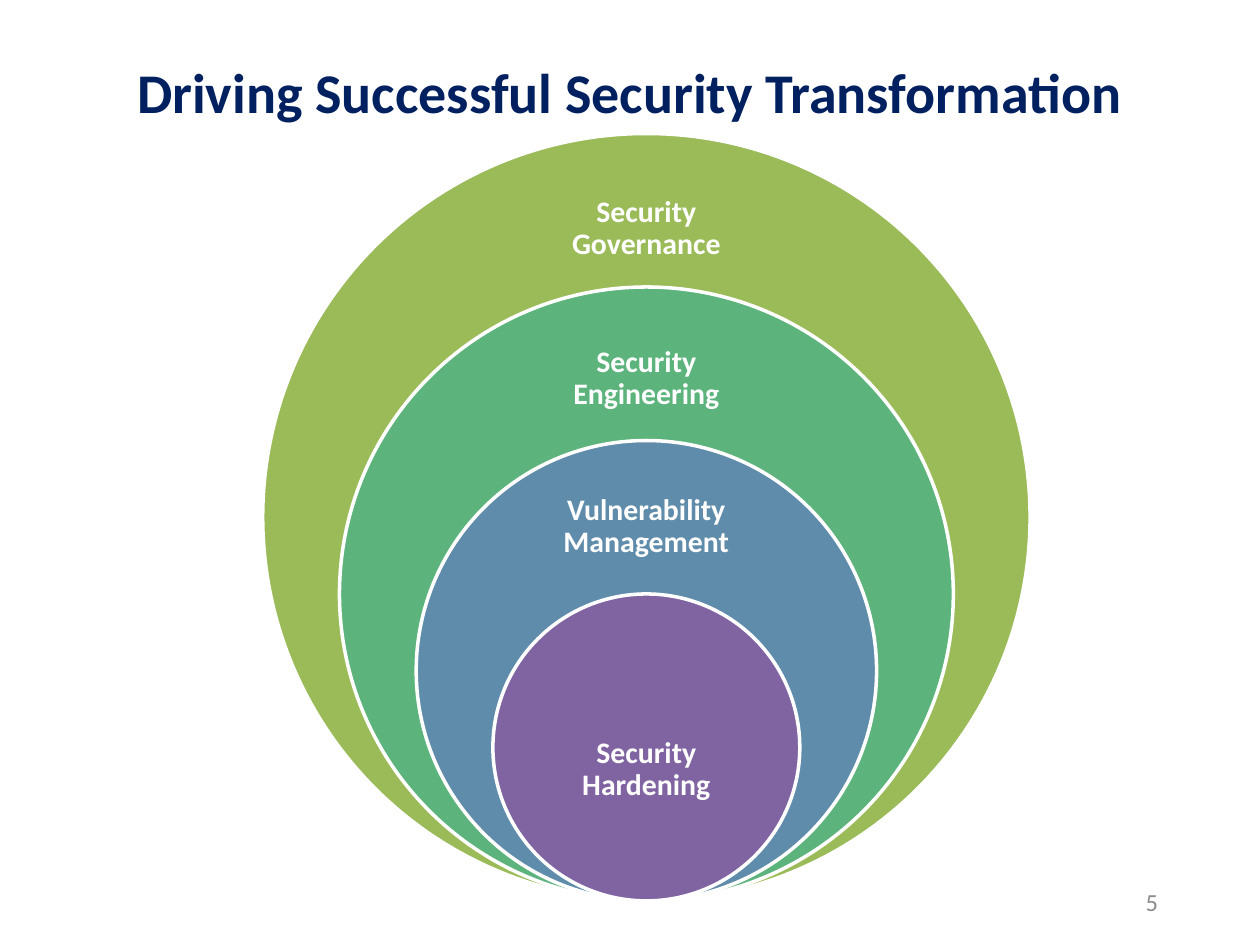
import pptx
import pptx.util
import pptx.dml.color
import pptx.enum.shapes
import pptx.enum.text

Inches = pptx.util.Inches
Pt = pptx.util.Pt
RGBColor = pptx.dml.color.RGBColor
PP_ALIGN = pptx.enum.text.PP_ALIGN

FONT = "Calibri"
WHITE = RGBColor(0xFF, 0xFF, 0xFF)
NAVY = RGBColor(0x00, 0x20, 0x60)
GRAY = RGBColor(0x8C, 0x8C, 0x8C)
GREEN = RGBColor(0x9B, 0xBB, 0x59)
TEAL = RGBColor(0x5C, 0xB3, 0x7C)
BLUE = RGBColor(0x60, 0x8C, 0xAB)
PURPLE = RGBColor(0x80, 0x64, 0xA2)

CENTER_X = 5.13
BOTTOM = 7.15
OUTER_DIAMETER = 6.09
DIAMETER_STEP = OUTER_DIAMETER / 5
LABEL_INSET = 0.13

LAYERS = [
    ("Security Governance", GREEN, 1.36, 0.91, LABEL_INSET),
    ("Security Engineering", TEAL, 2.57, 0.88, LABEL_INSET),
    ("Vulnerability Management", BLUE, 3.77, 0.82, LABEL_INSET),
    ("Security Hardening", PURPLE, 5.32, 1.22, 0.49),
]


def add_text(slide, text, box, size, color, align, bold=False):
    sp = slide.shapes.add_textbox(*(Inches(v) for v in box))
    tf = sp.text_frame
    tf.word_wrap = True
    tf.vertical_anchor = pptx.enum.text.MSO_ANCHOR.MIDDLE
    p = tf.paragraphs[0]
    p.alignment = align
    r = p.add_run()
    r.text = text
    r.font.name = FONT
    r.font.size = Pt(size)
    r.font.bold = bold
    r.font.color.rgb = color
    return tf


def add_circle(slide, diameter, color):
    sp = slide.shapes.add_shape(
        pptx.enum.shapes.MSO_SHAPE.OVAL,
        Inches(CENTER_X - diameter / 2), Inches(BOTTOM - diameter),
        Inches(diameter), Inches(diameter))
    sp.shadow.inherit = False
    sp.fill.solid()
    sp.fill.fore_color.rgb = color
    sp.line.color.rgb = WHITE
    sp.line.width = Pt(2)


def add_label(slide, text, top, height, top_inset):
    width = 1.7
    box = (CENTER_X - width / 2, top, width, height)
    tf = add_text(slide, text, box, 17, WHITE, PP_ALIGN.CENTER, bold=True)
    tf.margin_left = tf.margin_right = tf.margin_bottom = Inches(LABEL_INSET)
    tf.margin_top = Inches(top_inset)
    tf.paragraphs[0].line_spacing = 0.9


def main():
    prs = pptx.Presentation()
    prs.slide_width = Inches(10)
    prs.slide_height = Inches(7.5)
    s = prs.slides.add_slide(prs.slide_layouts[6])
    add_text(s, "5", (7.31, 6.99, 1.98, 0.33), 14, GRAY, PP_ALIGN.RIGHT)
    add_text(s, "Driving Successful Security Transformation",
             (0.5, 0.23, 9, 0.98), 32, NAVY, PP_ALIGN.CENTER, bold=True)
    for i, (text, color, top, height, top_inset) in enumerate(LAYERS):
        add_circle(s, OUTER_DIAMETER - i * DIAMETER_STEP, color)
        add_label(s, text, top, height, top_inset)
    prs.save("out.pptx")


if __name__ == "__main__":
    main()
